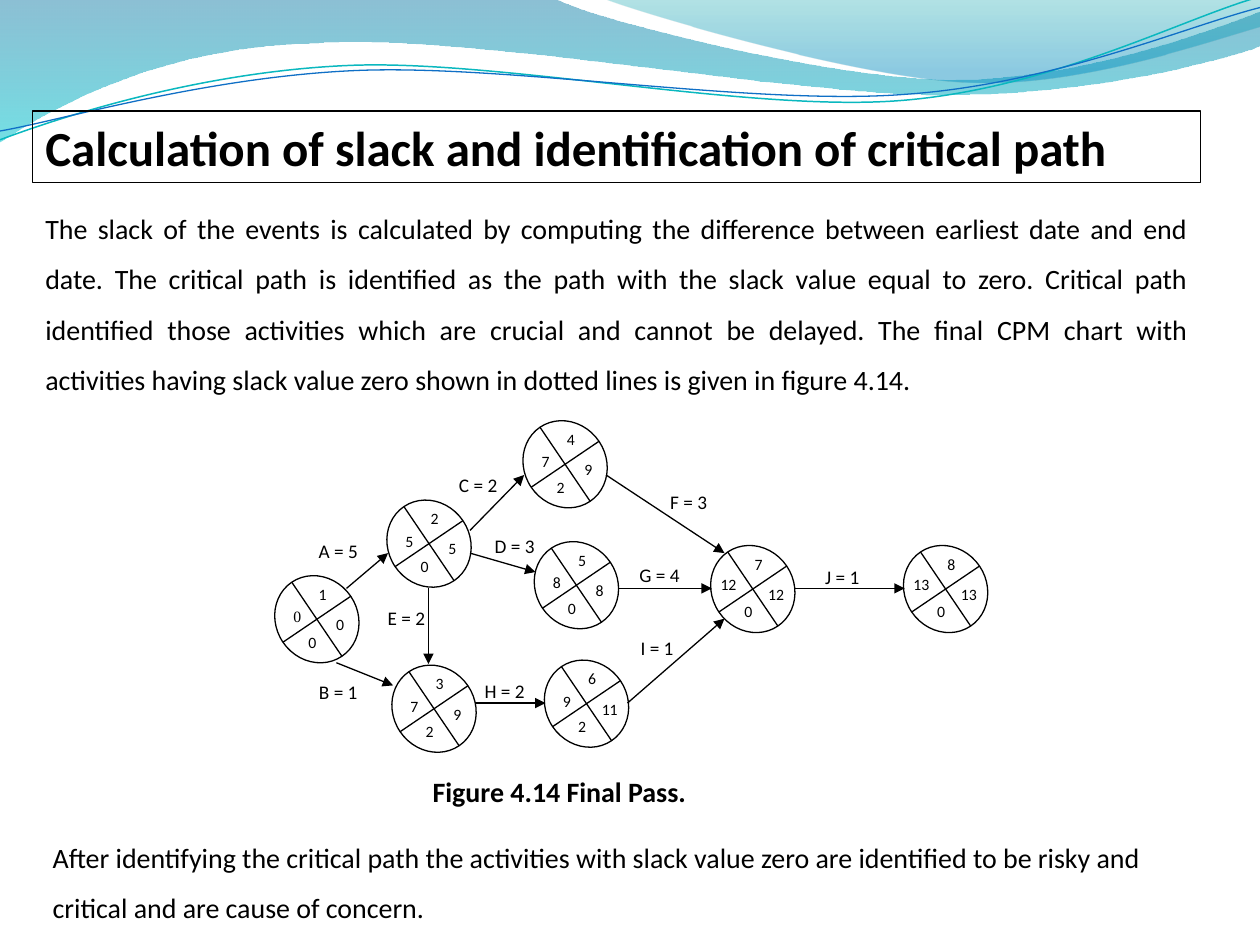
from dataclasses import dataclass

from lxml.etree import SubElement
from pptx import Presentation
from pptx.dml.color import RGBColor
from pptx.enum.shapes import MSO_CONNECTOR as Connector, MSO_SHAPE as Shape
from pptx.enum.text import MSO_ANCHOR as Anchor, MSO_AUTO_SIZE as AutoSize, PP_ALIGN as Align
from pptx.oxml.ns import qn
from pptx.util import Emu, Pt


@dataclass(frozen=True)
class Theme:
    """Colours, fonts and type sizes of the slide."""
    ink: str = "000000"
    paper: str = "FFFFFF"
    font: str = "Calibri"
    start_font: str = "Times New Roman"
    title: int = 28
    body: int = 16
    activity: int = 11
    event: int = 9
    rule: float = 0.75


THEME = Theme()
EMU_PER_PX = 9144
NODE_SIZE = (65, 71)

WAVES = [
    ([(0, 0), (440, -1), (476, 17, 664, 63, 758, 63), (853, 63, 958, 26, 1000, 9), (1001, 36),
      (983, 44, 870, 76, 746, 75), (622, 75, 382, 28, 257, 34), (129, 36, 46, 83, -1, 113)],
     [(0, "0074A1", 45), (1, "00C6CF", 55)]),
    ([(479, -1), (509, 11, 682, 62, 769, 65), (856, 69, 961, 32, 1000, 21), (1000, 0)],
     [(0, "00A1A9", 30), (0.8, "008BBF", 45)]),
]
STRANDS = [
    ([(0, 111), (48, 93, 158, 57, 277, 52), (395, 47, 593, 89, 713, 80),
      (833, 71, 938, 15, 998, -2)], "0AB8BF", 0.85),
    ([(0, 104), (47, 96, 164, 61, 283, 56), (403, 51, 597, 84, 717, 75),
      (836, 67, 941, 21, 1000, 6)], "0F6FC6", 0.75),
]
EVENTS = [
    (1, 0, 0, (0, 123)), (2, 5, 5, (89, 63)), (3, 7, 9, (93, 194)), (4, 7, 9, (197, 0)),
    (5, 8, 8, (206, 96)), (6, 9, 11, (214, 190)), (7, 12, 12, (346, 99)), (8, 13, 13, (499, 99)),
]
ACTIVITIES = [
    ("A = 5", (24, 96), (56, 134), (89, 106)),
    ("B = 1", (24, 208), (48, 193), (93, 211)),
    ("C = 2", (135, 43), (154, 88), (197, 44)),
    ("D = 3", (164, 92), (154, 106), (206, 121)),
    ("E = 2", (78, 149), (121, 134), (121, 194)),
    ("F = 3", (302, 57), (262, 44), (356, 106)),
    ("G = 4", (279, 115), (272, 134), (346, 134)),
    ("H = 2", (156, 207), (158, 225), (214, 225)),
    ("I = 1", (277, 173), (279, 225), (356, 158)),
    ("J = 1", (424, 116), (411, 134), (499, 134)),
]
SLACK_TEXT = (
    "The slack of the events is calculated by computing the difference between earliest date "
    "and end date. The critical path is identified as the path with the slack value equal to "
    "zero. Critical path identified those activities which are crucial and cannot be delayed. "
    "The final CPM chart with activities having slack value zero shown in dotted lines is given "
    "in figure 4.14.")
CLOSING_TEXT = (
    "After identifying the critical path the activities with slack value zero are identified to "
    "be risky and critical and are cause of concern.")


def px(*lengths):
    """Turn px lengths into EMU."""
    return [Emu(length * EMU_PER_PX) for length in lengths]


def rgb(code):
    """Return the colour for a hex code."""
    return RGBColor.from_string(code)


def shift(box, offset):
    """Return a point given relative to the corner of a box."""
    return box[0] + offset[0], box[1] + offset[1]


def write(frame, text, size, align=Align.LEFT, anchor=Anchor.TOP, bold=False, spacing=None,
          after=0, font=THEME.font, tight=False):
    """Fill a text frame with one formatted paragraph."""
    frame.text = text
    frame.word_wrap = True
    frame.vertical_anchor = anchor
    if tight:
        frame.margin_left = frame.margin_top = frame.margin_right = frame.margin_bottom = 0
    paragraph = frame.paragraphs[0]
    paragraph.alignment = align
    paragraph.space_before, paragraph.space_after = Pt(0), Pt(after)
    if spacing:
        paragraph.line_spacing = spacing
    for run in paragraph.runs:
        run.font.name, run.font.size, run.font.bold = font, Pt(size), bold
        run.font.color.rgb = rgb(THEME.ink)


def add_text(slide, box, text, size, **style):
    """Add a text box."""
    write(slide.shapes.add_textbox(*px(*box)).text_frame, text, size, **style)


def move_to_front(placeholder, box):
    """Place a placeholder in a box, above what is drawn so far."""
    placeholder.left, placeholder.top, placeholder.width, placeholder.height = px(*box)
    placeholder.element.getparent().append(placeholder.element)
    placeholder.text_frame.auto_size = AutoSize.NONE


def add_outline(slide, box, outline, close):
    """Add a freeform whose six-number segments are Bézier curves."""
    start, *rest = [px(*shift(box, segment[i:i + 2]))
                    for segment in outline for i in range(0, len(segment), 2)]
    builder = slide.shapes.build_freeform(*start)
    builder.add_line_segments(rest, close=close)
    freeform = builder.convert_to_shape()
    freeform.shadow.inherit = False
    lines = iter(list(freeform.element.iter(qn("a:lnTo"))))
    for segment in outline[1:]:
        curve = next(lines)
        if len(segment) == 6:
            curve.tag = qn("a:cubicBezTo")
            for corner in (next(lines), next(lines)):
                curve.append(corner[0])
                corner.getparent().remove(corner)
    return freeform


def draw_header(slide, box):
    """Draw the gradient waves and the two strands over them."""
    for outline, stops in WAVES:
        wave = add_outline(slide, box, outline, True)
        wave.line.fill.background()
        wave.fill.gradient()
        wave.fill.gradient_angle = 270
        for stop, (position, color, _) in zip(wave.fill.gradient_stops, stops):
            stop.position, stop.color.rgb = position, rgb(color)
        for gradient_stop, (_, _, opacity) in zip(wave.element.iter(qn("a:gs")), stops):
            SubElement(gradient_stop[0], qn("a:alpha"), val=str(opacity * 1000))
    for outline, color, width in STRANDS:
        strand = add_outline(slide, box, outline, False)
        strand.fill.background()
        strand.line.color.rgb, strand.line.width = rgb(color), Pt(width)


def draw_title(slide, box):
    """Place the framed title."""
    title = slide.shapes.title
    move_to_front(title, box)
    title.line.color.rgb, title.line.width = rgb(THEME.ink), Pt(THEME.rule)
    write(title.text_frame, "Calculation of slack and identification of critical path",
          THEME.title, bold=True)


def draw_body(slide, box):
    """Place the unbulleted explanation."""
    body = slide.placeholders[1]
    move_to_front(body, box)
    write(body.text_frame, SLACK_TEXT, THEME.body, Align.JUSTIFY, Anchor.MIDDLE, spacing=1.5)
    properties = body.text_frame.paragraphs[0]._p.get_or_add_pPr()
    properties.set("marL", "0")
    properties.set("indent", "0")
    SubElement(properties, qn("a:buNone"))


def draw_activity_label(slide, box, text):
    """Draw the white label of an activity."""
    label = slide.shapes.add_shape(Shape.RECTANGLE, *px(*box))
    label.shadow.inherit = False
    label.fill.solid()
    label.fill.fore_color.rgb = rgb(THEME.paper)
    label.line.fill.background()
    write(label.text_frame, text, THEME.activity, Align.CENTER, Anchor.MIDDLE, after=10, tight=True)


def draw_event(slide, box, number, earliest, latest):
    """Draw an event circle with its number, dates and slack."""
    circle = slide.shapes.add_shape(Shape.FLOWCHART_OR, *px(*box))
    circle.rotation = 325.9
    circle.shadow.inherit = False
    circle.fill.solid()
    circle.fill.fore_color.rgb = rgb(THEME.paper)
    circle.line.color.rgb, circle.line.width = rgb(THEME.ink), Pt(THEME.rule)
    earliest_place, earliest_width = ((-3, 19), 35) if earliest > 9 else ((4, 21), 24)
    earliest_font = THEME.font if earliest else THEME.start_font
    add_text(slide, (*shift(box, (24, 3)), 24, 23), str(number), THEME.event, after=10)
    add_text(slide, (*shift(box, earliest_place), earliest_width, 23), str(earliest),
             THEME.event, after=10, font=earliest_font)
    for value, place in ((latest, (43, 32)), (latest - earliest, (21, 46))):
        add_text(slide, (*shift(box, place), 16, 15), str(value), THEME.event,
                 align=Align.CENTER, tight=True)


def draw_arrow(slide, start, end):
    """Draw an activity arrow."""
    arrow = slide.shapes.add_connector(Connector.STRAIGHT, *px(*start, *end))
    arrow.line.color.rgb, arrow.line.width = rgb(THEME.ink), Pt(THEME.rule)
    outline = arrow.element.find(".//" + qn("a:ln"))
    SubElement(outline, qn("a:tailEnd"), type="triangle")
    SubElement(outline.getparent(), qn("a:effectLst"))


def draw_network(slide, box):
    """Draw the network of activities and events."""
    for text, place, _, _ in ACTIVITIES:
        draw_activity_label(slide, (*shift(box, place), 51, 17), text)
    for number, earliest, latest, place in EVENTS:
        draw_event(slide, (*shift(box, place), *NODE_SIZE), number, earliest, latest)
    for _, _, start, end in ACTIVITIES:
        draw_arrow(slide, shift(box, start), shift(box, end))


def main():
    """Build and save the slide."""
    deck = Presentation()
    deck.slide_width, deck.slide_height = px(1000, 750)
    slide = deck.slides.add_slide(deck.slide_layouts[1])
    draw_header(slide, (0, 0, 1000, 113))
    draw_title(slide, (26, 88, 927, 57))
    draw_body(slide, (26, 151, 927, 167))
    draw_network(slide, (219, 333, 564, 265))
    add_text(slide, (199, 610, 490, 37), "Figure 4.14 Final Pass.", THEME.body,
             align=Align.CENTER, bold=True)
    add_text(slide, (32, 650, 927, 87), CLOSING_TEXT, THEME.body, anchor=Anchor.MIDDLE, spacing=1.5)
    deck.save("out.pptx")


if __name__ == "__main__":
    main()
